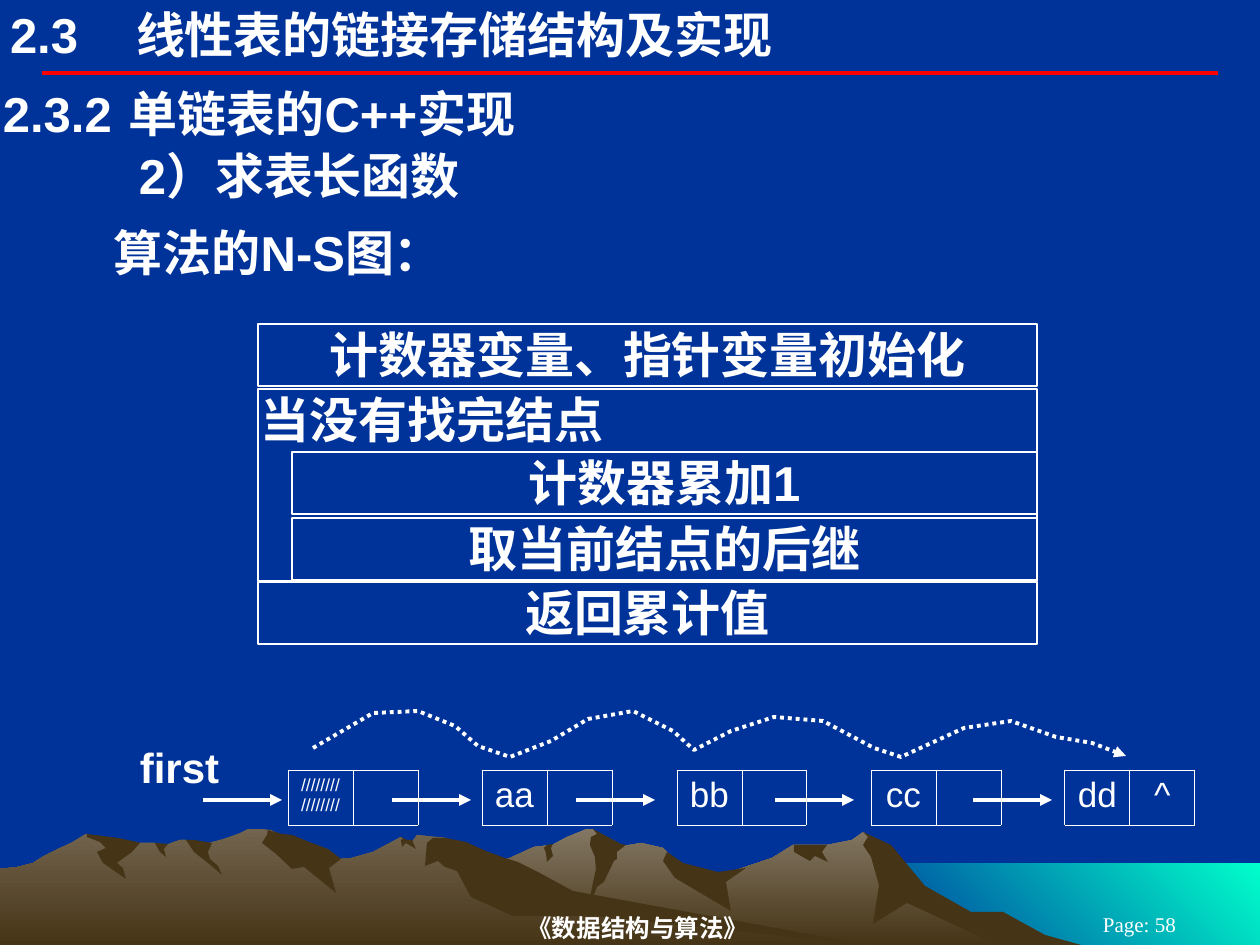
from dataclasses import dataclass
from itertools import pairwise

from lxml import etree
from pptx import Presentation
from pptx import util as u
from pptx.dml.color import RGBColor
from pptx.enum import dml, shapes, text
from pptx.oxml import ns

PX = 914400 / 126


@dataclass(frozen=True)
class Theme:
    background: str = "003399"
    ink: str = "FFFFFF"
    rule: str = "FF0000"
    sea: tuple = ("00FFCC", "003399")
    far_range: tuple = ("837763", "463416")
    near_range: tuple = ("72644E", "463416")
    shade: str = "463416"
    sans: str = "Arial"
    serif: str = "Times New Roman"
    heading: int = 28
    label: int = 24
    node: int = 20
    hatch: int = 10
    footer: int = 14
    page: int = 12


THEME = Theme()

TITLE = "2.3\t线性表的链接存储结构及实现"
# text, top, left indent, tab stop
HEADINGS = [
    ("2.3.2\t单链表的C++实现", 83, 0, 162),
    ("2）求表长函数", 145, 136, None),
    ("算法的N-S图：", 222, 111, None),
]
# text, top, height, nesting level, centred
NS_BOXES = [
    ("计数器变量、指针变量初始化", 324, 62, 0, True),
    ("当没有找完结点", 389, 192, 0, False),
    ("计数器累加1", 452, 62, 1, True),
    ("取当前结点的后继", 518, 62, 1, True),
    ("返回累计值", 582, 62, 0, True),
]
NS_LEFT, NS_RIGHT, NS_INDENT = 258, 1037, 34

NODES = [("////////////////", ""), ("aa", ""), ("bb", ""), ("cc", ""), ("dd", "^")]
LIST_LEFT, LIST_TOP, LIST_WIDTH, LIST_HEIGHT = 288, 770, 907, 55
LINK_STARTS, LINK_LENGTH, LINK_Y = [203, 392, 576, 775, 973], 79, 800
TRAVERSAL = [
    (313, 748), (373, 713), (418, 711), (455, 726), (478, 746), (510, 757), (551, 741),
    (588, 719), (633, 711), (673, 731), (694, 750), (731, 731), (774, 717), (823, 721),
    (874, 748), (901, 757), (964, 728), (1011, 721), (1056, 737), (1092, 743), (1126, 756),
]

SEA = [(861, 945), (861, 863), (1260, 863), (1260, 945)]
FAR_RANGE = [
    (1011, 932), (980, 916), (963, 911), (911, 879), (885, 845), (863, 832), (852, 840),
    (827, 845), (793, 845), (772, 858), (713, 878), (675, 869), (667, 852), (663, 848),
    (641, 843), (612, 848), (597, 833), (593, 829), (586, 829), (567, 837), (552, 845),
    (534, 847), (510, 858), (496, 863), (447, 879), (412, 893), (349, 931), (325, 945), (1034, 945),
]
FAR_SHADES = [
    [(1003, 912), (971, 912), (925, 886), (891, 845), (863, 832), (868, 837), (863, 845),
     (871, 857), (879, 885), (873, 924), (907, 903), (998, 945), (1081, 945), (1045, 935)],
    [(593, 829), (597, 834), (591, 837), (590, 845), (595, 857), (596, 869), (586, 916),
     (597, 887), (604, 882), (614, 861), (617, 859), (617, 852), (626, 845), (621, 844)],
    [(667, 852), (663, 861), (675, 878), (731, 911), (726, 882), (746, 868), (718, 872), (683, 863)],
    [(819, 845), (794, 845), (794, 852), (810, 861), (815, 856), (828, 862), (822, 852), (827, 845)],
    [(546, 853), (544, 848), (547, 845), (553, 844), (551, 848), (553, 856), (547, 862)],
]
NEAR_RANGE = [
    (869, 945), (840, 942), (544, 897), (446, 838), (417, 835), (412, 842), (407, 842),
    (401, 837), (373, 852), (352, 858), (341, 859), (328, 852), (297, 858), (281, 835),
    (271, 830), (262, 829), (248, 829), (238, 834), (224, 839), (202, 845), (186, 840),
    (180, 840), (166, 845), (155, 843), (140, 843), (118, 845), (86, 834), (71, 843),
    (58, 849), (44, 856), (33, 863), (18, 867), (0, 869), (0, 945),
]
NEAR_SHADES = [
    [(267, 835), (262, 843), (276, 854), (292, 869), (304, 867), (336, 893), (329, 868),
     (341, 859), (328, 849), (309, 842), (292, 835), (282, 834), (268, 830)],
    [(466, 842), (446, 838), (433, 838), (427, 843), (425, 866), (438, 861), (445, 867),
     (457, 871), (471, 897), (513, 916), (595, 916), (869, 945), (573, 891), (538, 872),
     (518, 862), (505, 858), (486, 851)],
    [(401, 840), (403, 839), (401, 837), (407, 840), (412, 840), (416, 849), (406, 843), (402, 847)],
    [(194, 840), (212, 843), (208, 852), (210, 859), (218, 866), (222, 875), (208, 863),
     (194, 852), (186, 840)],
    [(168, 844), (164, 849), (166, 857), (160, 852), (155, 843)],
    [(137, 842), (140, 843), (132, 852), (117, 863), (123, 868), (126, 879), (103, 863),
     (97, 852), (106, 848), (100, 842), (87, 837), (87, 834), (118, 838)],
]


def px(*lengths):
    return [u.Emu(round(length * PX)) for length in lengths]


def color(value):
    return RGBColor.from_string(value)


def write(frame, content, size, font=THEME.sans, bold=True, centred=False,
          inset=(3, 1), middle=False, indent=0, tab=None):
    frame.word_wrap = True
    frame.auto_size = text.MSO_AUTO_SIZE.NONE
    frame.vertical_anchor = text.MSO_ANCHOR.MIDDLE if middle else text.MSO_ANCHOR.TOP
    frame.margin_left, frame.margin_top = frame.margin_right, frame.margin_bottom = px(*inset)
    paragraph = frame.paragraphs[0]
    paragraph.text = content
    paragraph.alignment = text.PP_ALIGN.CENTER if centred else text.PP_ALIGN.LEFT
    paragraph.space_before = u.Pt(0)
    properties = paragraph._p.get_or_add_pPr()
    properties.set("marL", str(px(indent)[0]))
    properties.set("indent", "0")
    if tab:
        stops = etree.SubElement(properties, ns.qn("a:tabLst"))
        etree.SubElement(stops, ns.qn("a:tab"), pos=str(px(tab)[0]), algn="l")
    for run in paragraph.runs:
        run.font.name, run.font.size, run.font.bold = font, u.Pt(size), bold
        run.font.color.rgb = color(THEME.ink)


def add_text(slide, content, box, size, **options):
    shape = slide.shapes.add_textbox(*px(*box))
    write(shape.text_frame, content, size, **options)


def add_outline(slide, points, closed=True):
    builder = slide.shapes.build_freeform(*points[0], scale=PX)
    builder.add_line_segments(points[1:], close=closed)
    shape = builder.convert_to_shape()
    shape.shadow.inherit = False
    return shape


def add_area(slide, points, paint, angle=270):
    """Fill an outline with one colour, or with a gradient between two."""
    shape = add_outline(slide, points)
    shape.line.fill.background()
    if isinstance(paint, str):
        shape.fill.solid()
        shape.fill.fore_color.rgb = color(paint)
        return
    shape.fill.gradient()
    shape.fill.gradient_angle = angle
    for stop, value, position in zip(shape.fill.gradient_stops, paint, (0, 1)):
        stop.color.rgb, stop.position = color(value), position


def style_line(line, value, width=2.25, arrow=False):
    line.color.rgb, line.width = color(value), u.Pt(width)
    if arrow:
        etree.SubElement(line._get_or_add_ln(), ns.qn("a:tailEnd"), type="triangle")


def add_line(slide, left, right, y, value, arrow=False):
    line = slide.shapes.add_connector(shapes.MSO_CONNECTOR.STRAIGHT, *px(left, y, right, y))
    style_line(line.line, value, arrow=arrow)
    etree.SubElement(line._element.spPr, ns.qn("a:effectLst"))


def add_landscape(slide):
    add_area(slide, SEA, THEME.sea, angle=225)
    for mountain, paint, shades in [(FAR_RANGE, THEME.far_range, FAR_SHADES),
                                    (NEAR_RANGE, THEME.near_range, NEAR_SHADES)]:
        add_area(slide, mountain, paint)
        for shade in shades:
            add_area(slide, shade, THEME.shade)


def set_borders(cell, sides):
    for side in sides:
        line = etree.SubElement(cell._tc.get_or_add_tcPr(), ns.qn(f"a:ln{side}"), w="5715")
        fill = etree.SubElement(line, ns.qn("a:solidFill"))
        etree.SubElement(fill, ns.qn("a:srgbClr"), val=THEME.ink)
    cell.fill.background()


def add_linked_list(slide):
    count = 3 * len(NODES) - 1
    frame = slide.shapes.add_table(1, count, *px(LIST_LEFT, LIST_TOP, LIST_WIDTH, LIST_HEIGHT))
    table = frame.table
    table.first_row = table.horz_banding = False
    table._tbl.tblPr.find(ns.qn("a:tableStyleId")).text = "{2D5ABB26-0587-4C30-8999-92F81FD0307C}"
    edges = [round(i * LIST_WIDTH / count) for i in range(count + 1)]
    for column, (left, right) in zip(table.columns, pairwise(edges)):
        column.width = px(right - left)[0]
    for i in range(count):
        cell, (node, part) = table.cell(0, i), divmod(i, 3)
        set_borders(cell, "LR" if part == 2 else "LRTB")
        if part < 2 and NODES[node][part]:
            content = NODES[node][part]
            size = THEME.hatch if content.startswith("/") else THEME.node
            cell.margin_left, cell.margin_top = cell.margin_right, cell.margin_bottom = px(13, 6)
            paragraph = cell.text_frame.paragraphs[0]
            paragraph.text, paragraph.alignment = content, text.PP_ALIGN.CENTER
            font = paragraph.runs[0].font
            font.name, font.size, font.color.rgb = THEME.sans, u.Pt(size), color(THEME.ink)
    add_text(slide, "first", (105, 741, 149, 53), THEME.label, centred=True)
    for start in LINK_STARTS:
        add_line(slide, start, start + LINK_LENGTH, LINK_Y, THEME.ink, arrow=True)
    curve = add_outline(slide, TRAVERSAL, closed=False)
    curve.fill.background()
    curve.line.dash_style = dml.MSO_LINE.ROUND_DOT
    style_line(curve.line, THEME.ink, arrow=True)


def add_ns_chart(slide):
    for content, top, height, level, centred in NS_BOXES:
        left = NS_LEFT + level * NS_INDENT
        box = px(left, top, NS_RIGHT - left, height)
        shape = slide.shapes.add_shape(shapes.MSO_SHAPE.RECTANGLE, *box)
        shape.shadow.inherit = False
        if level:
            shape.fill.solid()
            shape.fill.fore_color.rgb = color(THEME.background)
        else:
            shape.fill.background()
        style_line(shape.line, THEME.ink, 1.5)
        write(shape.text_frame, content, THEME.heading, centred=centred)


def main():
    presentation = Presentation()
    presentation.slide_width, presentation.slide_height = px(1260, 945)
    slide = presentation.slides.add_slide(presentation.slide_layouts[5])
    slide.background.fill.solid()
    slide.background.fill.fore_color.rgb = color(THEME.background)
    add_landscape(slide)
    add_line(slide, 42, 1218, 73, THEME.rule)
    add_text(slide, "《数据结构与算法》", (256, 910, 764, 35), THEME.footer,
             font=THEME.serif, centred=True, middle=True, inset=(0, 1))
    add_text(slide, "Page: 58", (1040, 914, 199, 21), THEME.page,
             font=THEME.serif, bold=False, centred=True, middle=True, inset=(13, 6))
    title = slide.shapes.title
    title.left, title.top, title.width, title.height = px(10, 4, 819, 59)
    write(title.text_frame, TITLE, THEME.heading, inset=(0, 0), tab=108)
    for content, top, indent, tab in HEADINGS:
        add_text(slide, content, (0, top, 1260, 62), THEME.heading, indent=indent, tab=tab)
    add_linked_list(slide)
    add_ns_chart(slide)
    presentation.save("out.pptx")


if __name__ == "__main__":
    main()
